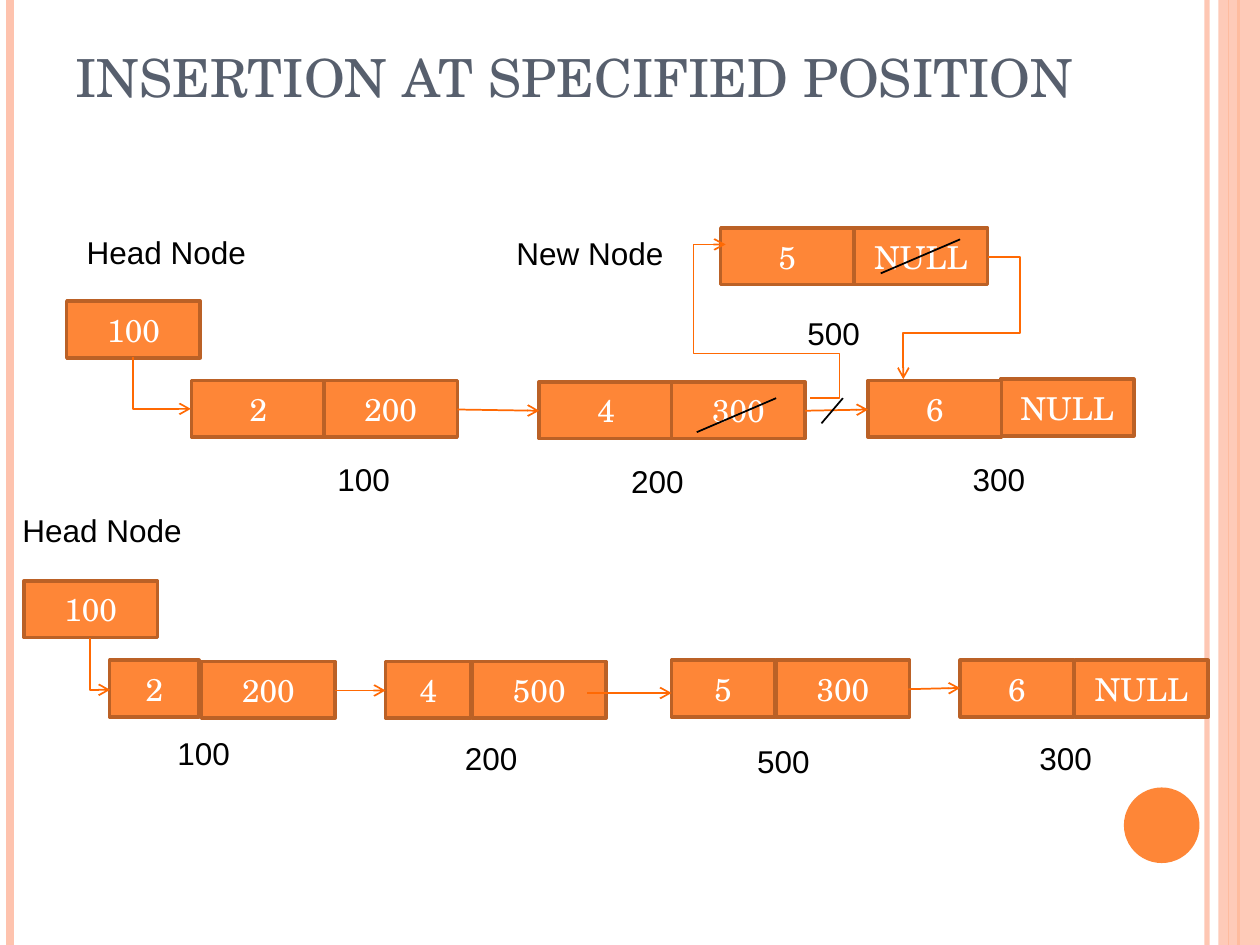
"""Build the slide on inserting a linked-list node at a specified position."""
from lxml.etree import SubElement
from pptx import Presentation
from pptx.dml.color import RGBColor
from pptx.enum.shapes import MSO_CONNECTOR as Link, MSO_SHAPE as Preset
from pptx.enum.text import MSO_ANCHOR as Anchor, PP_ALIGN as Align
from pptx.oxml.ns import qn
from pptx.util import Cm, Pt

ORANGE, EDGE, ARROW, PEACH = "FE8637", "BB6126", "FF6903", "FEC3AE"
SERIF, SANS = "TeX Gyre Schola", "Arial"
CELL_WIDTH, CELL_HEIGHT = 1.06, 0.45

TITLE = ("INSERTION AT SPECIFIED POSITION", 0.5, 0.3, 8.17, 0.61)
RULES = [(9.58, PEACH, 3, 93), (0.08, PEACH, 4.5, 100),
         (9.83, ORANGE, 1.5, 100), (9.75, ORANGE, 0.75, 100)]
CELLS = [
    ("NULL", 7.94, 3.01), ("100", 0.53, 2.39),
    ("2", 1.52, 3.02), ("200", 2.57, 3.02),
    ("4", 4.28, 3.03), ("300", 5.33, 3.03),
    ("6", 6.89, 3.02), ("5", 5.72, 1.81), ("NULL", 6.78, 1.81),
    ("NULL", 8.53, 5.24), ("100", 0.19, 4.61),
    ("2", 0.87, 5.24, 0.71), ("200", 1.6, 5.25),
    ("4", 3.06, 5.25, 0.68), ("300", 6.16, 5.24),
    ("6", 7.62, 5.24, 0.9), ("5", 5.33, 5.24, 0.82), ("500", 3.75, 5.25),
]
ADDRESSES = [
    ("100", 2.58, 3.6), ("200", 4.91, 3.62), ("300", 7.62, 3.6), ("500", 6.31, 2.44),
    ("100", 1.31, 5.78), ("200", 3.59, 5.82), ("500", 5.91, 5.84), ("300", 8.15, 5.82),
]
CAPTIONS = [("Head Node", 0.59, 1.8), ("New Node", 4, 1.81), ("Head Node", 0.08, 4.01)]
ARROWS = [
    (3.63, 3.25, 4.28, 3.26), (6.39, 3.26, 6.89, 3.25), (2.66, 5.48, 3.06, 5.48),
    (7.21, 5.47, 7.62, 5.46), (4.66, 5.5, 5.33, 5.5),
]
STRIKES = [(6.69, 3.16, 6.52, 3.36), (6.16, 3.16, 5.53, 3.43), (7.62, 1.9, 6.99, 2.17)]
ELBOWS = [
    ((1.49, 2.81, 1.08, 3.27), "bentConnector2", 270, ()),
    ((1.0, 5.19, 0.59, 5.35), "bentConnector2", 270, ()),
    ((6.43, 3.16, 5.76, 1.94), "bentConnector5", 0, (-0.35, 0.29, 1.38)),
    ((7.84, 2.04, 7.17, 3.01), "bentConnector4", 0, (-0.38, 0.62)),
]


def inches(*values):
    return [Cm(value * 2.54) for value in values]


def color(text):
    return RGBColor.from_string(text)


def apply(target, values):
    for name, value in values.items():
        setattr(target, name, value)


def fade(item, percent):
    if percent < 100:
        for tone in item.element.spPr.iter(qn("a:srgbClr")):
            SubElement(tone, qn("a:alpha"), val=str(percent * 1000))


def write(box, text, font, size, tone, anchor, align=Align.LEFT):
    left, top = inches(0.1, 0.05)
    apply(box.text_frame, {
        "word_wrap": True, "vertical_anchor": anchor,
        "margin_left": left, "margin_right": left,
        "margin_top": top, "margin_bottom": top})
    para = box.text_frame.paragraphs[0]
    para.alignment = align
    span = para.add_run()
    apply(span, {"text": text})
    apply(span.font, {"name": font, "size": Pt(size)})
    span.font.color.rgb = color(tone)


def add_block(page, preset, place, fill, edge=None):
    block = page.shapes.add_shape(preset, *inches(*place))
    block.shadow.inherit = False
    block.fill.solid()
    block.fill.fore_color.rgb = color(fill)
    if edge:
        block.line.color.rgb = color(edge)
        block.line.width = Pt(2)
    else:
        block.line.fill.background()
    return block


def add_label(page, text, place, font=SANS, size=18, tone="000000", anchor=Anchor.TOP):
    write(page.shapes.add_textbox(*inches(*place)), text, font, size, tone, anchor)


def add_line(page, ends, tone, width=1, arrow=False, kind=Link.STRAIGHT):
    line = page.shapes.add_connector(kind, *inches(*ends))
    line.line.color.rgb = color(tone)
    line.line.width = Pt(width)
    properties = line.element.spPr
    if arrow:
        SubElement(properties.find(qn("a:ln")), qn("a:tailEnd"), type="arrow")
    SubElement(properties, qn("a:effectLst"))
    return line


def add_elbow(page, ends, preset, turn, bends):
    properties = add_line(page, ends, ARROW, arrow=True, kind=Link.ELBOW).element.spPr
    properties.find(qn("a:xfrm")).set("rot", str(turn * 60000))
    geometry = properties.find(qn("a:prstGeom"))
    geometry.set("prst", preset)
    guides = geometry.find(qn("a:avLst"))
    if guides is None:
        guides = SubElement(geometry, qn("a:avLst"))
    for number, bend in enumerate(bends, 1):
        SubElement(guides, qn("a:gd"), name=f"adj{number}", fmla=f"val {round(bend * 100000)}")


def main():
    deck = Presentation()
    deck.slide_width, deck.slide_height = inches(10, 7.5)
    page = deck.slides.add_slide(deck.slide_layouts[6])

    for x, tone, width, opacity in RULES:
        fade(add_line(page, (x, 0, x, 7.5), tone, width), opacity)
    fade(add_block(page, Preset.RECTANGLE, (9.67, 0, 0.33, 7.5), PEACH), 87)
    add_block(page, Preset.OVAL, (8.92, 6.25, 0.6, 0.6), ORANGE)

    title, *place = TITLE
    add_label(page, title, place, SERIF, 30, "575F6D", Anchor.BOTTOM)
    for text, left, top, *width in CELLS:
        place = (left, top, *(width or [CELL_WIDTH]), CELL_HEIGHT)
        cell = add_block(page, Preset.RECTANGLE, place, ORANGE, EDGE)
        write(cell, text, SERIF, 18, "FFFFFF", Anchor.MIDDLE, Align.CENTER)
    for labels, width in ((ADDRESSES, 0.85), (CAPTIONS, 1.57)):
        for text, left, top in labels:
            add_label(page, text, (left, top, width, 0.4))
    for ends in ARROWS:
        add_line(page, ends, ARROW, arrow=True)
    for elbow in ELBOWS:
        add_elbow(page, *elbow)
    for ends in STRIKES:
        add_line(page, ends, "000000")
    deck.save("out.pptx")


if __name__ == "__main__":
    main()
